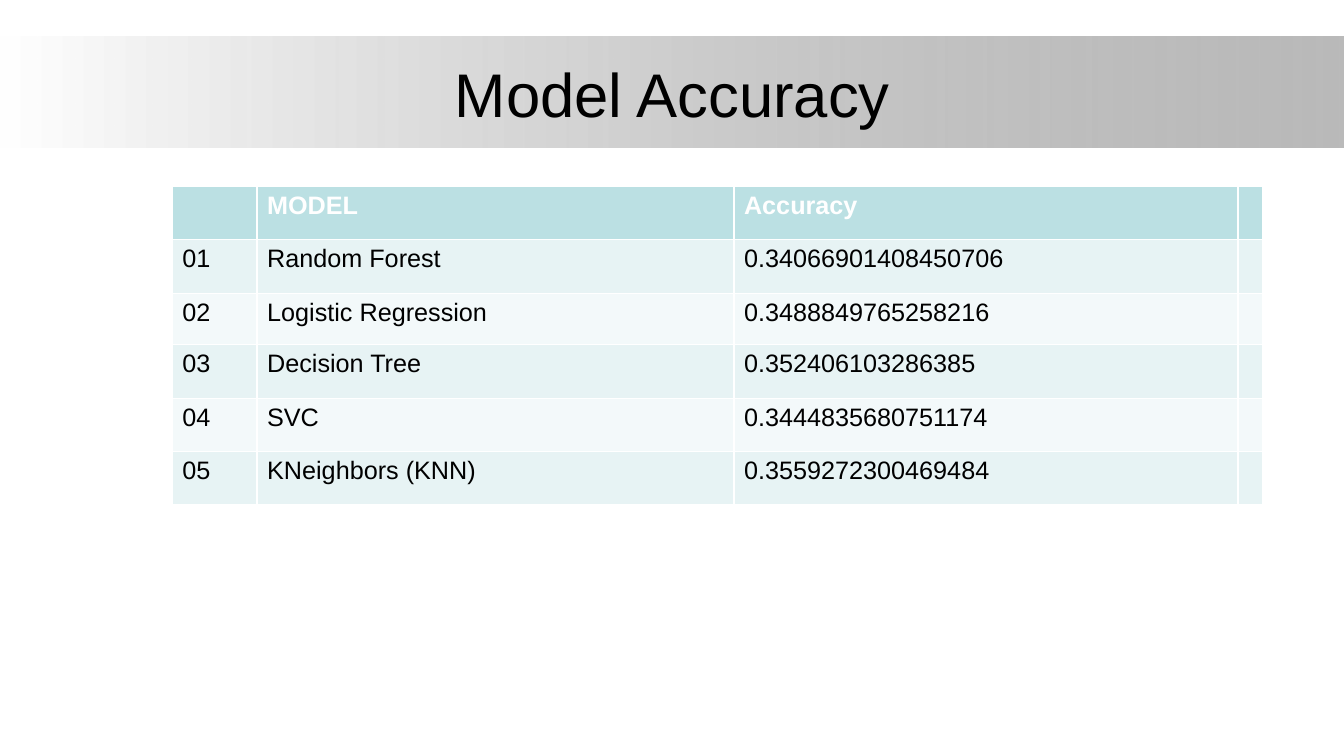
import dataclasses

import lxml.etree
import pptx
import pptx.dml.color
import pptx.enum.shapes
import pptx.enum.text
import pptx.oxml.ns
import pptx.util

Inches = pptx.util.Inches
RGBColor = pptx.dml.color.RGBColor

WHITE = RGBColor(0xFF, 0xFF, 0xFF)
BLACK = RGBColor(0x00, 0x00, 0x00)
GREY = RGBColor(0x80, 0x80, 0x80)
TEAL = RGBColor(0xBB, 0xE0, 0xE3)
PALE = RGBColor(0xE7, 0xF3, 0xF4)
FAINT = RGBColor(0xF3, 0xF9, 0xFA)
FONT = "Arial"


@dataclasses.dataclass
class Score:
    """One model with its accuracy."""
    model: str
    value: str


SCORES = [
    Score("Random Forest", "0.34066901408450706"),
    Score("Logistic Regression", "0.3488849765258216"),
    Score("Decision Tree", "0.352406103286385"),
    Score("SVC", "0.3444835680751174"),
    Score("KNeighbors (KNN)", "0.3559272300469484"),
]
WIDTHS = [0.84, 4.73, 5, 0.24]
HEIGHTS = [0.53, 0.53, 0.51, 0.53, 0.53, 0.53]


def add_text(para, text: str, size: float, color: RGBColor, bold: bool = False) -> None:
    """Add one styled run to a paragraph."""
    run = para.add_run()
    run.text = text
    run.font.name = FONT
    run.font.size = pptx.util.Pt(size)
    run.font.bold = bold
    run.font.color.rgb = color


def add_title(slide, text: str) -> None:
    """Place and fill the title placeholder."""
    title = slide.shapes.title
    title.left, title.top = Inches(0.67), Inches(0.3)
    title.width, title.height = Inches(12), Inches(1.25)
    frame = title.text_frame
    frame.vertical_anchor = pptx.enum.text.MSO_ANCHOR.MIDDLE
    para = frame.paragraphs[0]
    para.alignment = pptx.enum.text.PP_ALIGN.CENTER
    add_text(para, text, 44, BLACK)


def add_band(slide) -> None:
    """Draw the fading band behind the title."""
    band = slide.shapes.add_shape(
        pptx.enum.shapes.MSO_SHAPE.RECTANGLE,
        Inches(0), Inches(0.36), Inches(13.33), Inches(1.1))
    band.shadow.inherit = False
    band.line.fill.background()
    band.fill.gradient()
    band.fill.gradient_angle = 0
    for stop, color in zip(band.fill.gradient_stops, (WHITE, GREY)):
        stop.color.rgb = color
    tint = band.element.findall(".//" + pptx.oxml.ns.qn("a:srgbClr"))[-1]
    lxml.etree.SubElement(tint, pptx.oxml.ns.qn("a:alpha"), val="54000")
    slide.shapes.title.element.addprevious(band.element)


def add_scores(slide, scores: list[Score]) -> None:
    """Draw the accuracy table with a head row and banded rows."""
    rows = [["", "MODEL", "Accuracy", ""]]
    rows += [[f"{num:02}", score.model, score.value, ""]
             for num, score in enumerate(scores, 1)]
    table = slide.shapes.add_table(
        len(rows), len(WIDTHS), Inches(1.71), Inches(1.85),
        Inches(sum(WIDTHS)), Inches(sum(HEIGHTS))).table
    for col, width in zip(table.columns, WIDTHS):
        col.width = Inches(width)
    for num, (row, height, texts) in enumerate(zip(table.rows, HEIGHTS, rows)):
        row.height = Inches(height)
        head = num == 0
        shade = TEAL if head else PALE if num % 2 else FAINT
        for cell, text in zip(row.cells, texts):
            cell.fill.solid()
            cell.fill.fore_color.rgb = shade
            if text:
                add_text(cell.text_frame.paragraphs[0], text, 18,
                         WHITE if head else BLACK, head)


def main() -> None:
    """Build and save the slide."""
    deck = pptx.Presentation()
    deck.slide_width, deck.slide_height = Inches(13.33), Inches(7.5)
    slide = deck.slides.add_slide(deck.slide_layouts.get_by_name("Title Only"))
    add_title(slide, "Model Accuracy")
    add_band(slide)
    add_scores(slide, SCORES)
    deck.save("out.pptx")


main()
